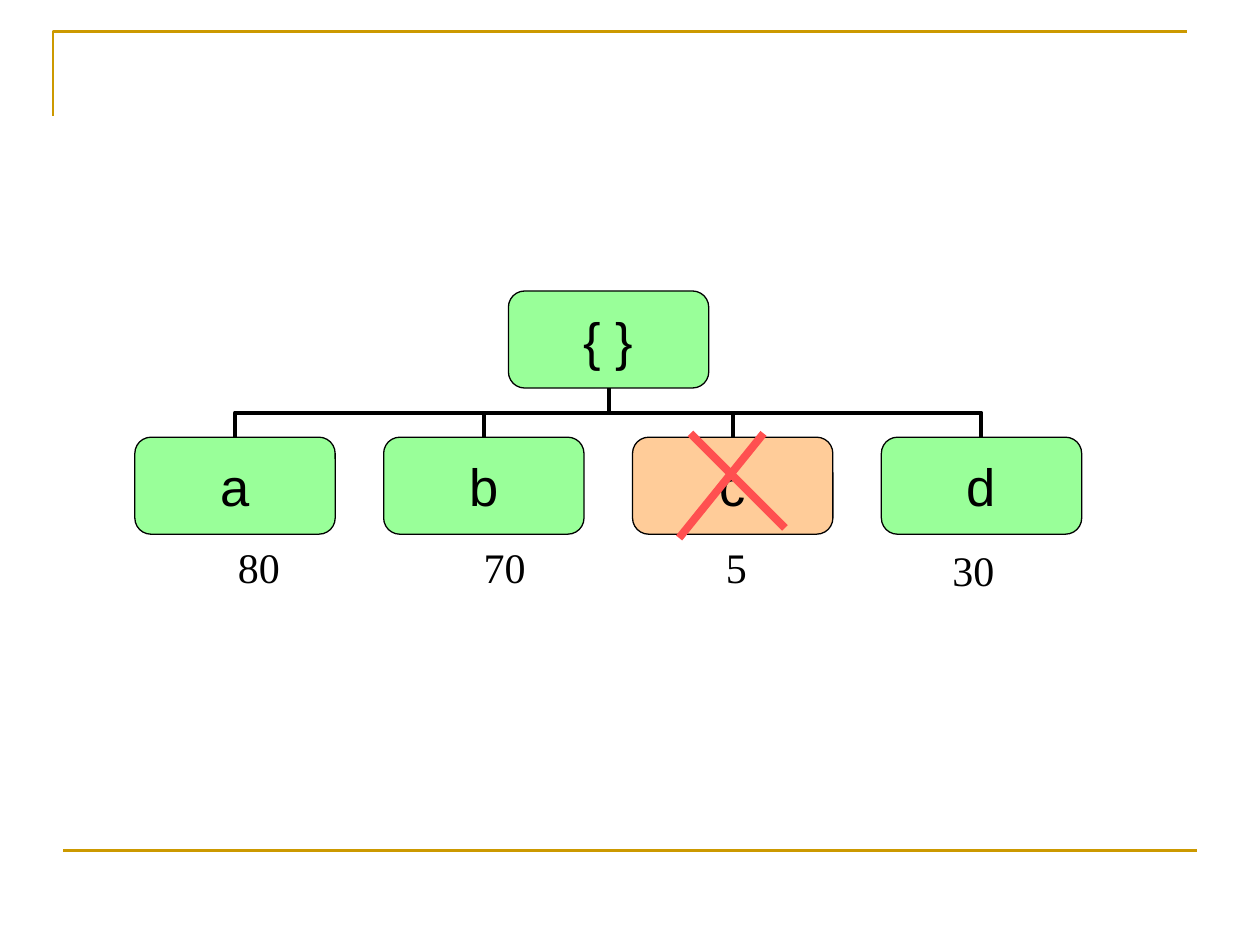
"""Builds a slide with a one-level search tree whose node c is crossed out."""
import pptx
import pptx.util
import pptx.dml.color
import pptx.enum.shapes
import pptx.enum.text
import pptx.oxml.ns
import lxml.etree

Inches = pptx.util.Inches
Pt = pptx.util.Pt
RGBColor = pptx.dml.color.RGBColor
CONNECTOR = pptx.enum.shapes.MSO_CONNECTOR

GOLD = RGBColor(0xCC, 0x99, 0x00)
BLACK = RGBColor(0x00, 0x00, 0x00)
GREEN = RGBColor(0x99, 0xFF, 0x99)
ORANGE = RGBColor(0xFF, 0xCC, 0x99)
RED = RGBColor(0xFF, 0x50, 0x50)

NODE_WIDTH, NODE_HEIGHT = 1.59, 0.77
ROOT_CENTER, ROOT_TOP, ROOT_BOTTOM = 4.83, 2.31, 3.08
FIRST_LEFT, CHILD_TOP, CHILD_STEP = 1.07, 3.47, 1.975


def draw_line(kind, start, end, color, width):
    line = page.shapes.add_connector(kind, *map(Inches, start + end))
    line.line.color.rgb = color
    line.line.width = Pt(width)
    properties = line._element.spPr
    lxml.etree.SubElement(properties, pptx.oxml.ns.qn("a:effectLst"))
    return line


def write_text(shape, text, font, size, margins):
    frame = shape.text_frame
    side, edge = map(Inches, margins)
    frame_format = {
        "word_wrap": False,
        "vertical_anchor": pptx.enum.text.MSO_ANCHOR.MIDDLE,
        "margin_left": side,
        "margin_right": side,
        "margin_top": edge,
        "margin_bottom": edge,
    }
    for name, value in frame_format.items():
        setattr(frame, name, value)
    para = frame.paragraphs[0]
    para.alignment = pptx.enum.text.PP_ALIGN.CENTER
    span = para.add_run()
    span.text = text
    for name, value in {"name": font, "size": Pt(size)}.items():
        setattr(span.font, name, value)
    span.font.color.rgb = BLACK


deck = pptx.Presentation()
deck.slide_width = Inches(10)
deck.slide_height = Inches(7.5)
page = deck.slides.add_slide(deck.slide_layouts[6])

builder = page.shapes.build_freeform(Inches(0.42), Inches(0.92))
builder.add_line_segments(
    [(Inches(0.42), Inches(0.25)), (Inches(9.42), Inches(0.25))], close=False
)
corner = builder.convert_to_shape()
corner.shadow.inherit = False
corner.fill.background()
corner.line.color.rgb = GOLD
corner.line.width = Pt(1.5)
draw_line(CONNECTOR.STRAIGHT, (0.5, 6.75), (9.5, 6.75), GOLD, 1.5)

scores = [("80", 1.79, 4.25, 0.53), ("70", 3.74, 4.25, 0.53),
          ("5", 5.66, 4.25, 0.37), ("30", 7.46, 4.27, 0.53)]
for score, left, top, width in scores:
    box = page.shapes.add_textbox(*map(Inches, (left, top, width, 0.5)))
    write_text(box, score, "Times New Roman", 24, (0.1, 0.05))
    box.text_frame.auto_size = pptx.enum.text.MSO_AUTO_SIZE.SHAPE_TO_FIT_TEXT

nodes = [("{ }", ROOT_CENTER - NODE_WIDTH / 2, ROOT_TOP, GREEN)]
for index, (label, color) in enumerate(
    [("a", GREEN), ("b", GREEN), ("c", ORANGE), ("d", GREEN)]
):
    left = FIRST_LEFT + index * CHILD_STEP
    nodes.append((label, left, CHILD_TOP, color))
    center = left + NODE_WIDTH / 2
    middle_x = (center + ROOT_CENTER) / 2
    middle_y = (CHILD_TOP + ROOT_BOTTOM) / 2
    half_drop = (CHILD_TOP - ROOT_BOTTOM) / 2
    half_reach = abs(center - ROOT_CENTER) / 2
    side = 1 if center > ROOT_CENTER else -1
    branch = draw_line(
        CONNECTOR.ELBOW,
        (middle_x + side * half_drop, middle_y - half_reach),
        (middle_x - side * half_drop, middle_y + half_reach),
        BLACK,
        2.25,
    )
    quarter_turns = 1 if side > 0 else 3
    branch._element.spPr.xfrm.set("rot", str(quarter_turns * 90 * 60000))

for label, left, top, color in nodes:
    node = page.shapes.add_shape(
        pptx.enum.shapes.MSO_SHAPE.ROUNDED_RECTANGLE,
        *map(Inches, (left, top, NODE_WIDTH, NODE_HEIGHT)),
    )
    node.shadow.inherit = False
    node.fill.solid()
    node.fill.fore_color.rgb = color
    node.line.color.rgb = BLACK
    node.line.width = Pt(0.75)
    write_text(node, label, "Arial", 30, (0.06, 0.03))

for start, end in [((6.06, 3.44), (5.39, 4.27)), ((5.48, 3.44), (6.23, 4.19))]:
    draw_line(CONNECTOR.STRAIGHT, start, end, RED, 4.5)

deck.save("out.pptx")
